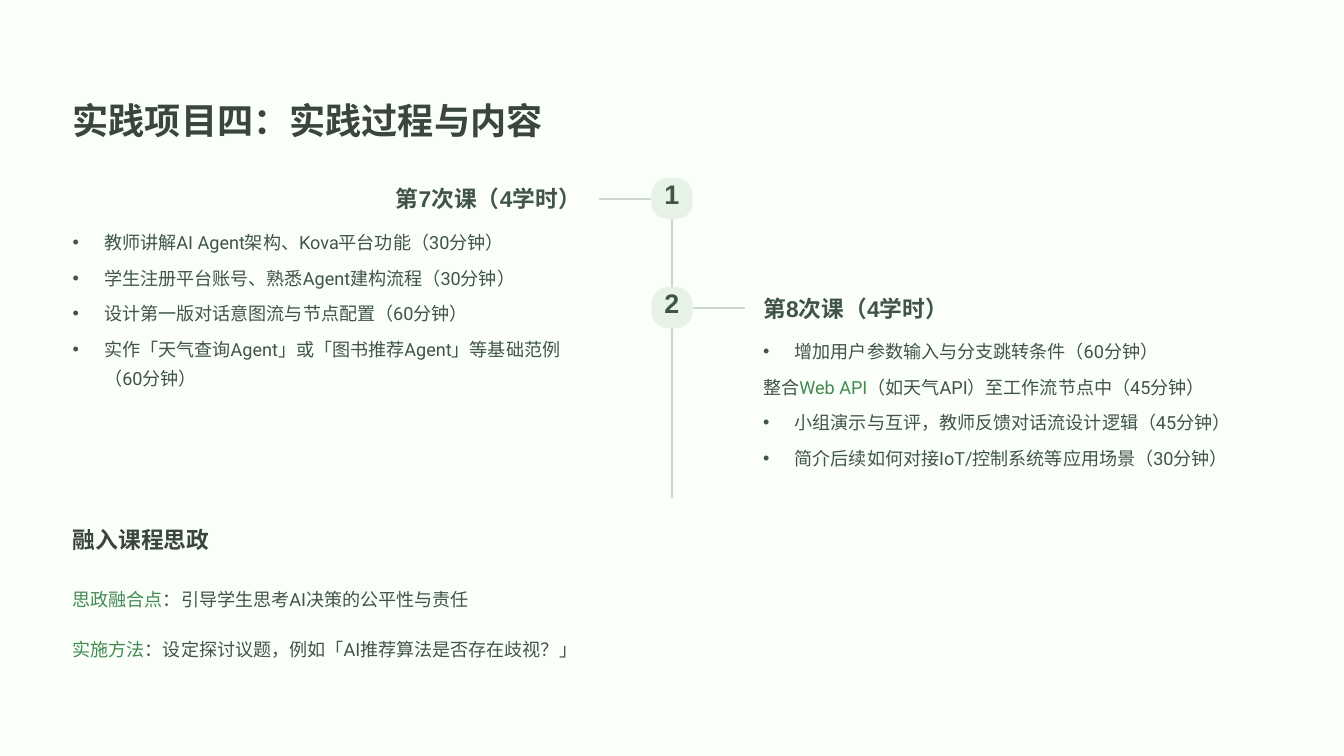
from dataclasses import dataclass

from lxml.etree import SubElement
from pptx import Presentation
from pptx.dml.color import RGBColor
from pptx.enum.shapes import MSO_CONNECTOR, MSO_SHAPE
from pptx.enum.text import MSO_ANCHOR, PP_ALIGN
from pptx.oxml.ns import qn
from pptx.shapes.autoshape import Shape
from pptx.shapes.connector import Connector
from pptx.slide import Slide
from pptx.text.text import TextFrame
from pptx.util import Pt

BACKGROUND = RGBColor(0xFA, 0xFF, 0xFA)
TITLE_COLOR = RGBColor(0x3B, 0x45, 0x40)
TEXT_COLOR = RGBColor(0x40, 0x54, 0x49)
ACCENT = RGBColor(0x43, 0x89, 0x51)
BADGE_FILL = RGBColor(0xE8, 0xF3, 0xE8)
LINE_COLOR = RGBColor(0xCE, 0xD9, 0xCE)

LEFT = 62.3
RIGHT_COLUMN = 654.2
COLUMN_WIDTH = 435.6
HEADING_WIDTH = 195
AXIS = 576
AXIS_END = 427
BADGE_SIZE = 35.3
BRANCH_REACH = 62.6
FIRST_SESSION_TOP = 152.6
SESSION_STEP = 93.6
BULLET_INDENT = 27


@dataclass(frozen=True)
class Style:
    font: str
    size: float
    line: float
    color: RGBColor
    bold: bool = False
    align: PP_ALIGN = PP_ALIGN.LEFT


@dataclass(frozen=True)
class Line:
    """A line of text whose middle part, if any, takes the accent colour."""
    before: str
    accent: str = ""
    after: str = ""
    bullet: bool = False


@dataclass(frozen=True)
class Session:
    number: int
    heading: str
    on_left: bool
    items: tuple[Line, ...]


TITLE = Style("Arial", 31, 39, TITLE_COLOR, True)
NUMBER = Style("Arial", 23, 23, TEXT_COLOR, True, PP_ALIGN.CENTER)
HEADING_LEFT = Style("Arial", 19.5, 24, TEXT_COLOR, True)
HEADING_RIGHT = Style("Arial", 19.5, 24, TEXT_COLOR, True, PP_ALIGN.RIGHT)
SECTION = Style("Arial", 19.5, 24, TITLE_COLOR, True)
BODY = Style("Roboto", 15.5, 25, TEXT_COLOR)

SESSIONS = (
    Session(1, "第7次课（4学时）", True, (
        Line("教师讲解AI Agent架构、Kova平台功能（30分钟）", bullet=True),
        Line("学生注册平台账号、熟悉Agent建构流程（30分钟）", bullet=True),
        Line("设计第一版对话意图流与节点配置（60分钟）", bullet=True),
        Line("实作「天气查询Agent」或「图书推荐Agent」等基础范例（60分钟）", bullet=True),
    )),
    Session(2, "第8次课（4学时）", False, (
        Line("增加用户参数输入与分支跳转条件（60分钟）", bullet=True),
        Line("整合", "Web API", "（如天气API）至工作流节点中（45分钟）"),
        Line("小组演示与互评，教师反馈对话流设计逻辑（45分钟）", bullet=True),
        Line("简介后续如何对接IoT/控制系统等应用场景（30分钟）", bullet=True),
    )),
)
VALUES_HEADING = "融入课程思政"
VALUES = (
    Line("", "思政融合点", "：引导学生思考AI决策的公平性与责任"),
    Line("", "实施方法", "：设定探讨议题，例如「AI推荐算法是否存在歧视？」"),
)


def write(frame: TextFrame, lines: tuple[Line, ...], style: Style, gap: float = 0) -> None:
    frame.margin_left = frame.margin_top = frame.margin_right = frame.margin_bottom = 0
    frame.word_wrap = True
    frame.vertical_anchor = MSO_ANCHOR.TOP
    for index, line in enumerate(lines):
        paragraph = frame.add_paragraph() if index else frame.paragraphs[0]
        paragraph.alignment = style.align
        paragraph.line_spacing = Pt(style.line)
        paragraph.space_before = Pt(gap if index else 0)
        if line.bullet:
            properties = paragraph._p.get_or_add_pPr()
            properties.set("marL", str(Pt(BULLET_INDENT)))
            properties.set("indent", str(-Pt(BULLET_INDENT)))
            SubElement(properties, qn("a:buFont"), typeface="Arial")
            SubElement(properties, qn("a:buChar"), char="•")
        paragraph.font.name = style.font
        paragraph.font.size = Pt(style.size)
        paragraph.font.bold = style.bold
        paragraph.font.color.rgb = style.color
        for text in (line.before, line.accent, line.after):
            if text:
                run = paragraph.add_run()
                run.text = text
                if text == line.accent:
                    run.font.color.rgb = ACCENT


def add_text(slide: Slide, left: float, top: float, width: float, height: float,
             lines: tuple[Line, ...], style: Style, gap: float = 0) -> None:
    box = slide.shapes.add_textbox(Pt(left), Pt(top), Pt(width), Pt(height))
    write(box.text_frame, lines, style, gap)


def add_line(slide: Slide, x1: float, y1: float, x2: float, y2: float) -> Connector:
    line = slide.shapes.add_connector(MSO_CONNECTOR.STRAIGHT, Pt(x1), Pt(y1), Pt(x2), Pt(y2))
    line.line.color.rgb = LINE_COLOR
    line.line.width = Pt(1.8)
    SubElement(line._element.spPr, qn("a:effectLst"))
    return line


def add_badge(slide: Slide, number: int, top: float) -> Shape:
    badge = slide.shapes.add_shape(MSO_SHAPE.ROUNDED_RECTANGLE, Pt(AXIS - BADGE_SIZE / 2),
                                   Pt(top), Pt(BADGE_SIZE), Pt(BADGE_SIZE))
    badge.adjustments[0] = 0.4
    badge.shadow.inherit = False
    badge.fill.solid()
    badge.fill.fore_color.rgb = BADGE_FILL
    badge.line.fill.background()
    write(badge.text_frame, (Line(str(number)),), NUMBER)
    return badge


def add_session(slide: Slide, session: Session, top: float) -> Shape:
    """Draw a session with its branch and return its badge."""
    badge = add_badge(slide, session.number, top)
    middle = top + BADGE_SIZE / 2
    reach = -BRANCH_REACH if session.on_left else BRANCH_REACH
    branch = add_line(slide, AXIS, middle, AXIS + reach, middle)
    branch.begin_connect(badge, 1 if session.on_left else 3)
    column = LEFT if session.on_left else RIGHT_COLUMN
    heading_left = column + COLUMN_WIDTH - HEADING_WIDTH if session.on_left else column
    heading_style = HEADING_RIGHT if session.on_left else HEADING_LEFT
    add_text(slide, heading_left, top + 5.5, HEADING_WIDTH, 24.5,
             (Line(session.heading),), heading_style)
    add_text(slide, column, top + 39.5, COLUMN_WIDTH, 141, session.items, BODY, 5.4)
    return badge


def main() -> None:
    presentation = Presentation()
    presentation.slide_width, presentation.slide_height = Pt(1152), Pt(648)
    slide = presentation.slides.add_slide(presentation.slide_layouts[5])
    slide.background.fill.solid()
    slide.background.fill.fore_color.rgb = BACKGROUND

    title = slide.shapes.title
    title.left, title.top, title.width, title.height = Pt(LEFT), Pt(82.4), Pt(406), Pt(39)
    write(title.text_frame, (Line("实践项目四：实践过程与内容"),), TITLE)

    axis = add_line(slide, AXIS, FIRST_SESSION_TOP, AXIS, AXIS_END)
    badges = [add_session(slide, session, FIRST_SESSION_TOP + index * SESSION_STEP)
              for index, session in enumerate(SESSIONS)]
    axis.begin_connect(badges[0], 0)

    add_text(slide, LEFT, 450, HEADING_WIDTH, 24.5, (Line(VALUES_HEADING),), SECTION)
    add_text(slide, LEFT, 498.2, 1026.7, 67.5, VALUES, BODY, 17.5)
    presentation.save("out.pptx")


if __name__ == "__main__":
    main()
